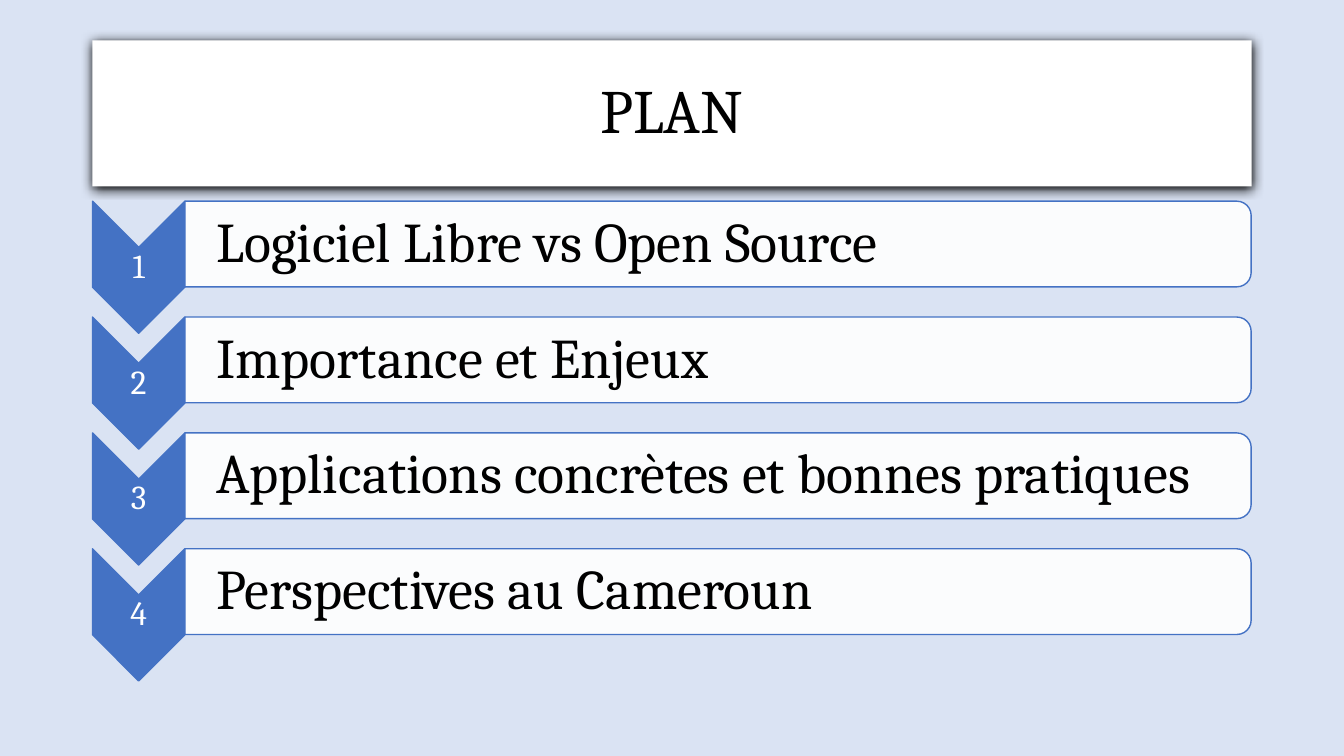
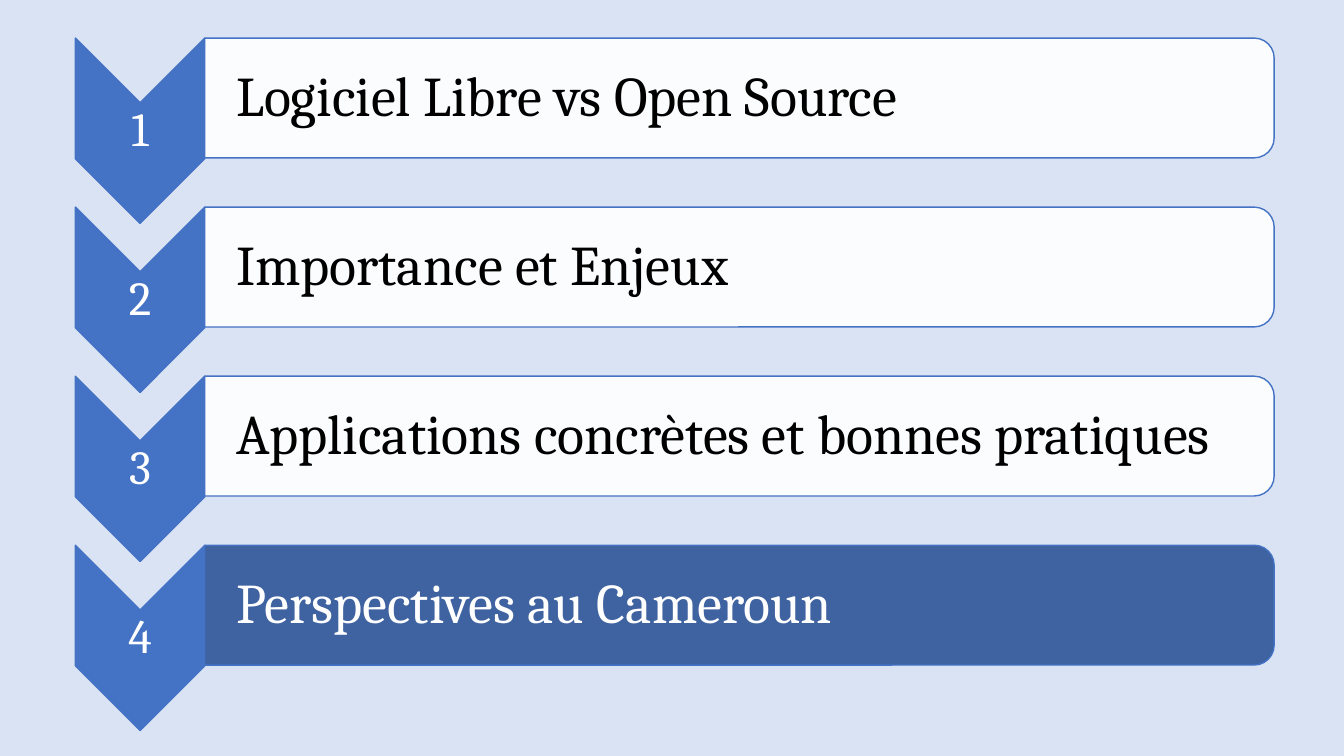
from dataclasses import dataclass

from lxml import etree
from pptx import Presentation
from pptx.dml.color import RGBColor
from pptx.enum.shapes import MSO_SHAPE
from pptx.enum.text import MSO_ANCHOR, MSO_AUTO_SIZE, PP_ALIGN
from pptx.oxml import parse_xml
from pptx.oxml.ns import nsdecls, qn
from pptx.util import Cm, Pt

CHEVRON = MSO_SHAPE.CHEVRON
BAR = MSO_SHAPE.ROUND_2_SAME_RECTANGLE
MIDDLE = MSO_ANCHOR.MIDDLE
LEFT, CENTER = PP_ALIGN.LEFT, PP_ALIGN.CENTER

HEADING = "PLAN"
TOPICS = [
    "Logiciel Libre vs Open Source",
    "Importance et Enjeux",
    "Applications concrètes et bonnes pratiques",
    "Perspectives au Cameroun",
]


@dataclass(frozen=True)
class Theme:
    font: str = "Cambria"
    background: RGBColor = RGBColor(0xDA, 0xE3, 0xF3)
    accent: RGBColor = RGBColor(0x44, 0x72, 0xC4)
    current: RGBColor = RGBColor(0x2F, 0x55, 0x97)
    light: RGBColor = RGBColor(0xFF, 0xFF, 0xFF)
    dark: RGBColor = RGBColor(0, 0, 0)
    title_size: int = 44
    topic_size: int = 40
    line_width: int = 1
    bar_opacity: int = 90


@dataclass(frozen=True)
class Agenda:
    left: float
    top: float
    step: float
    chevron_width: float
    chevron_height: float
    bar_width: float
    bar_height: float
    number_size: int
    current: int = 0


THEME = Theme()
OVERVIEW = Agenda(2.33, 5.07, 2.92, 2.33, 3.33, 26.87, 2.16, 24)
LAST_PART = Agenda(1.9, 0.96, 4.26, 3.26, 4.67, 26.95, 3.02, 34, current=4)


def write(frame, text, size, color, align):
    frame.text = text
    frame.vertical_anchor = MIDDLE
    frame.auto_size = MSO_AUTO_SIZE.NONE
    frame.word_wrap = True
    paragraph = frame.paragraphs[0]
    paragraph.alignment = align
    paragraph.line_spacing = 0.9
    font = paragraph.runs[0].font
    font.name, font.size, font.color.rgb = THEME.font, Pt(size), color


def add_text(slide, box, text, size, color, align, left_inset, inset):
    frame = slide.shapes.add_textbox(*map(Cm, box)).text_frame
    frame.margin_left = Cm(left_inset)
    frame.margin_right = frame.margin_top = frame.margin_bottom = Cm(inset)
    write(frame, text, size, color, align)


def add_turned(slide, kind, box, color, opacity=100):
    left, top, width, height = box
    shift = (width - height) / 2
    shape = slide.shapes.add_shape(
        kind, Cm(left + shift), Cm(top - shift), Cm(height), Cm(width))
    shape.rotation = 90
    shape.shadow.inherit = False
    shape.fill.solid()
    shape.fill.fore_color.rgb = color
    shape.line.color.rgb = THEME.accent
    shape.line.width = Pt(THEME.line_width)
    if opacity < 100:
        fill_color = shape.element.spPr.find(qn("a:solidFill"))[0]
        etree.SubElement(fill_color, qn("a:alpha"), val=str(opacity * 1000))


def add_title(slide, text):
    title = slide.shapes.title
    title.left, title.top, title.width, title.height = map(
        Cm, (2.33, 1.02, 29.21, 3.68))
    title.fill.solid()
    title.fill.fore_color.rgb = THEME.light
    title.element.spPr.append(parse_xml(
        f'<a:effectLst {nsdecls("a")}>'
        f'<a:outerShdw blurRad="{Pt(8.5)}" dist="{Pt(1)}" dir="5400000" '
        f'algn="t" rotWithShape="0"><a:srgbClr val="{THEME.dark}"/>'
        '</a:outerShdw></a:effectLst>'))
    write(title.text_frame, text, THEME.title_size, THEME.dark, CENTER)


def add_agenda(slide, agenda):
    width, height = agenda.chevron_width, agenda.chevron_height
    bar_left = agenda.left + width
    corner = agenda.bar_height * 0.05
    for number, topic in enumerate(TOPICS, 1):
        top = agenda.top + (number - 1) * agenda.step
        is_current = number == agenda.current
        add_turned(slide, CHEVRON, (agenda.left, top, width, height),
                   THEME.accent)
        add_text(slide, (agenda.left, top + width / 2, width, height - width),
                 str(number), agenda.number_size, THEME.light, CENTER,
                 0.05, 0.05)
        add_turned(slide, BAR,
                   (bar_left, top, agenda.bar_width, agenda.bar_height),
                   THEME.current if is_current else THEME.light,
                   THEME.bar_opacity)
        add_text(slide, (bar_left, top + corner, agenda.bar_width - corner,
                         agenda.bar_height - 2 * corner),
                 topic, THEME.topic_size,
                 THEME.light if is_current else THEME.dark, LEFT, 0.79, 0.08)


def main():
    deck = Presentation()
    deck.slide_width, deck.slide_height = Cm(33.87), Cm(19.05)
    backdrop = deck.slide_master.background.fill
    backdrop.solid()
    backdrop.fore_color.rgb = THEME.background

    plan = deck.slides.add_slide(deck.slide_layouts.get_by_name("Title Only"))
    add_title(plan, HEADING)
    add_agenda(plan, OVERVIEW)

    divider = deck.slides.add_slide(deck.slide_layouts.get_by_name("Blank"))
    add_agenda(divider, LAST_PART)

    deck.save("out.pptx")


if __name__ == "__main__":
    main()
